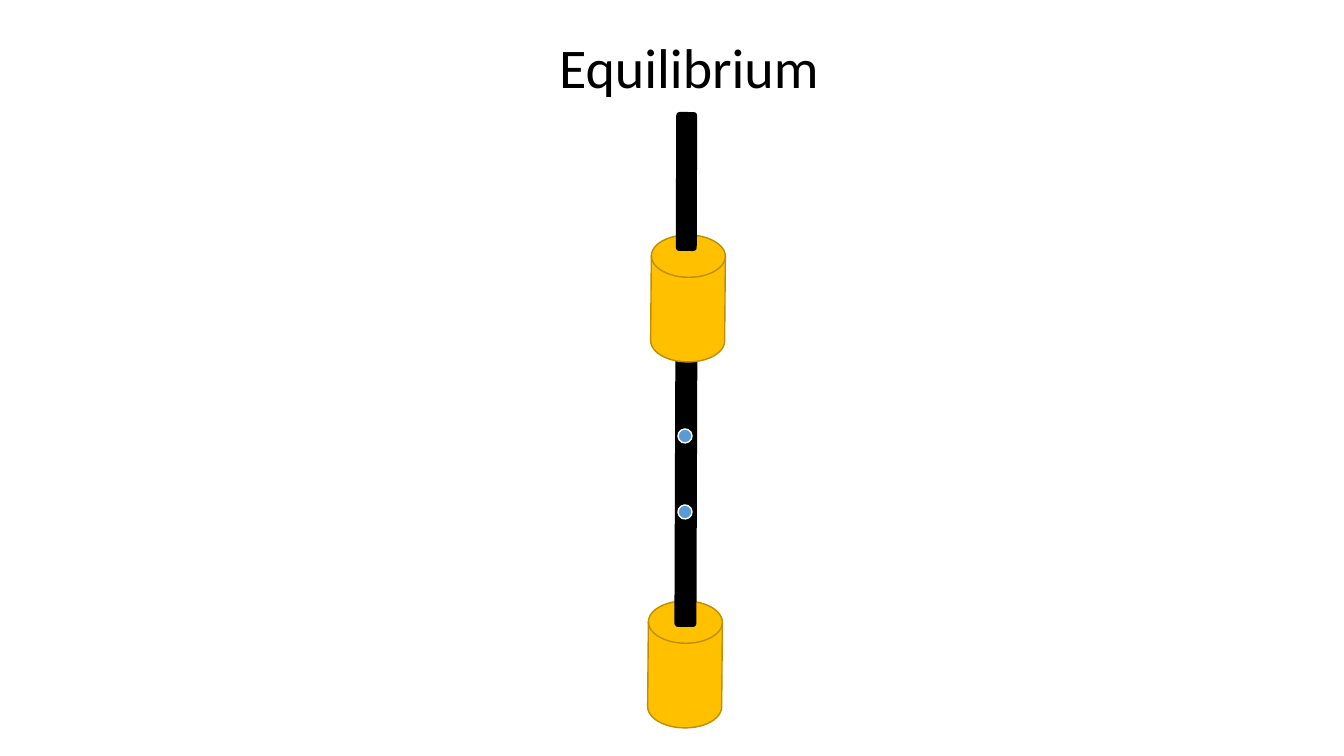
from dataclasses import dataclass

from pptx import Presentation
from pptx import util as u
from pptx.dml.color import RGBColor
from pptx.enum import dml, shapes, text
from pptx.oxml.ns import qn
from lxml import etree

EMU_PER_PX = 12192000 / 1344


@dataclass(frozen=True)
class Theme:
    """Colours, type and line sizes of the slide."""
    ink: str = "000000"
    weight: str = "FFC000"
    weight_edge: str = "BD8E00"
    marker: str = "5B9BD5"
    marker_edge: str = "FFFFFF"
    font: str = "Calibri"
    title_size: int = 40
    edge_width: int = 1
    axis_width: int = 6


THEME = Theme()


def px(length):
    """Turn a length in px into EMU."""
    return u.Emu(round(length * EMU_PER_PX))


def colour(code):
    """Turn a hex code into a colour."""
    return RGBColor.from_string(code)


def write(frame, words, *, size, ink, font, align):
    """Fill a text frame with one formatted line."""
    frame.text = words
    line = frame.paragraphs[0]
    line.alignment = align
    line.font.size = u.Pt(size)
    line.font.name = font
    line.font.color.rgb = colour(ink)


def add_part(slide, preset, box, fill, edge=None, tilt=0):
    """Add a filled preset shape in a px box, with an optional edge."""
    part = slide.shapes.add_shape(preset, *map(px, box))
    part.shadow.inherit = False
    part.rotation = tilt
    part.fill.solid()
    part.fill.fore_color.rgb = colour(fill)
    if edge:
        part.line.color.rgb = colour(edge)
        part.line.width = u.Pt(THEME.edge_width)
    else:
        part.line.fill.background()


def add_axis(slide, start, end):
    """Add the dotted axis behind the rods."""
    axis = slide.shapes.add_connector(
        shapes.MSO_CONNECTOR.STRAIGHT, *map(px, (*start, *end)))
    axis.line.color.rgb = colour(THEME.ink)
    axis.line.width = u.Pt(THEME.axis_width)
    axis.line.dash_style = dml.MSO_LINE.ROUND_DOT
    etree.SubElement(axis._element.spPr, qn("a:effectLst"))


def add_heading(slide, left, top, width, height):
    """Place the slide title in the given box."""
    heading = slide.shapes.title
    heading.left, heading.top = px(left), px(top)
    heading.width, heading.height = px(width), px(height)
    frame = heading.text_frame
    frame.word_wrap = False
    frame.auto_size = text.MSO_AUTO_SIZE.SHAPE_TO_FIT_TEXT
    frame.vertical_anchor = text.MSO_ANCHOR.TOP
    write(frame, "Equilibrium", size=THEME.title_size, ink=THEME.ink,
          font=THEME.font, align=text.PP_ALIGN.LEFT)


def add_pendulum(slide, left, top):
    """Draw the hanging rods, weights and markers from a top-left corner."""
    preset = shapes.MSO_SHAPE
    add_axis(slide, (left + 40, top + 31), (left + 36, top + 529))
    segments = [
        ((0, 489), (27, 180, 22, 335)),
        ((3, 123), (28, 0, 21, 139)),
    ]
    for (weight_x, weight_y), (rod_x, rod_y, rod_width, rod_height) in segments:
        add_part(slide, preset.FLOWCHART_MAGNETIC_DISK,
                 (left + weight_x, top + weight_y, 74, 127),
                 THEME.weight, THEME.weight_edge, tilt=0.5)
        add_part(slide, preset.ROUNDED_RECTANGLE,
                 (left + rod_x, top + rod_y, rod_width, rod_height),
                 THEME.ink, tilt=0.2)
    for marker_y in (393, 317):
        add_part(slide, preset.OVAL, (left + 30, top + marker_y, 14, 14),
                 THEME.marker, THEME.marker_edge, tilt=26.2)


def main():
    """Build and save the slide."""
    deck = Presentation()
    deck.slide_width, deck.slide_height = px(1344), px(756)
    slide = deck.slides.add_slide(deck.slide_layouts.get_by_name("Title Only"))
    add_heading(slide, 549, 27, 288, 78)
    add_pendulum(slide, 648, 112)
    deck.save("out.pptx")


if __name__ == "__main__":
    main()
